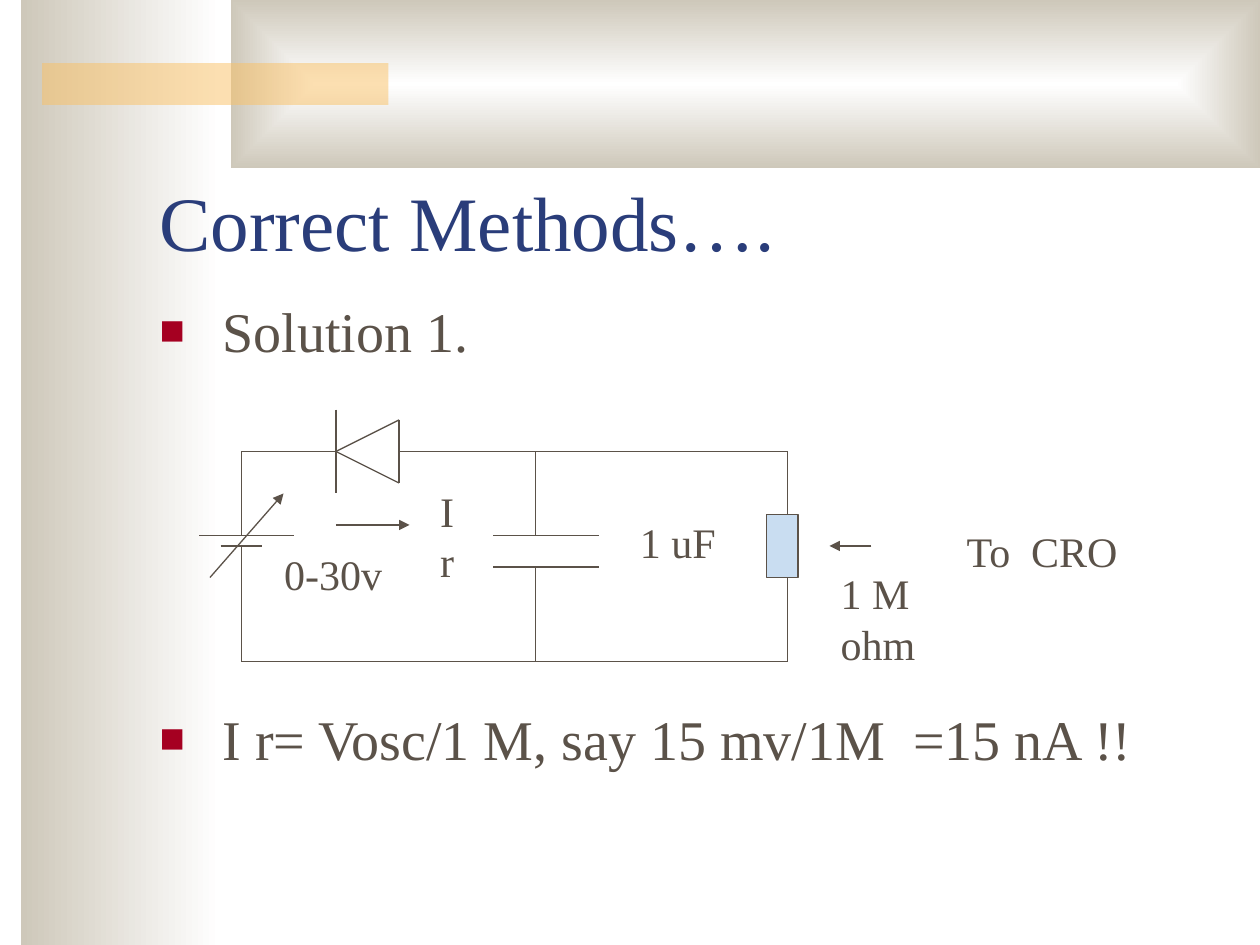
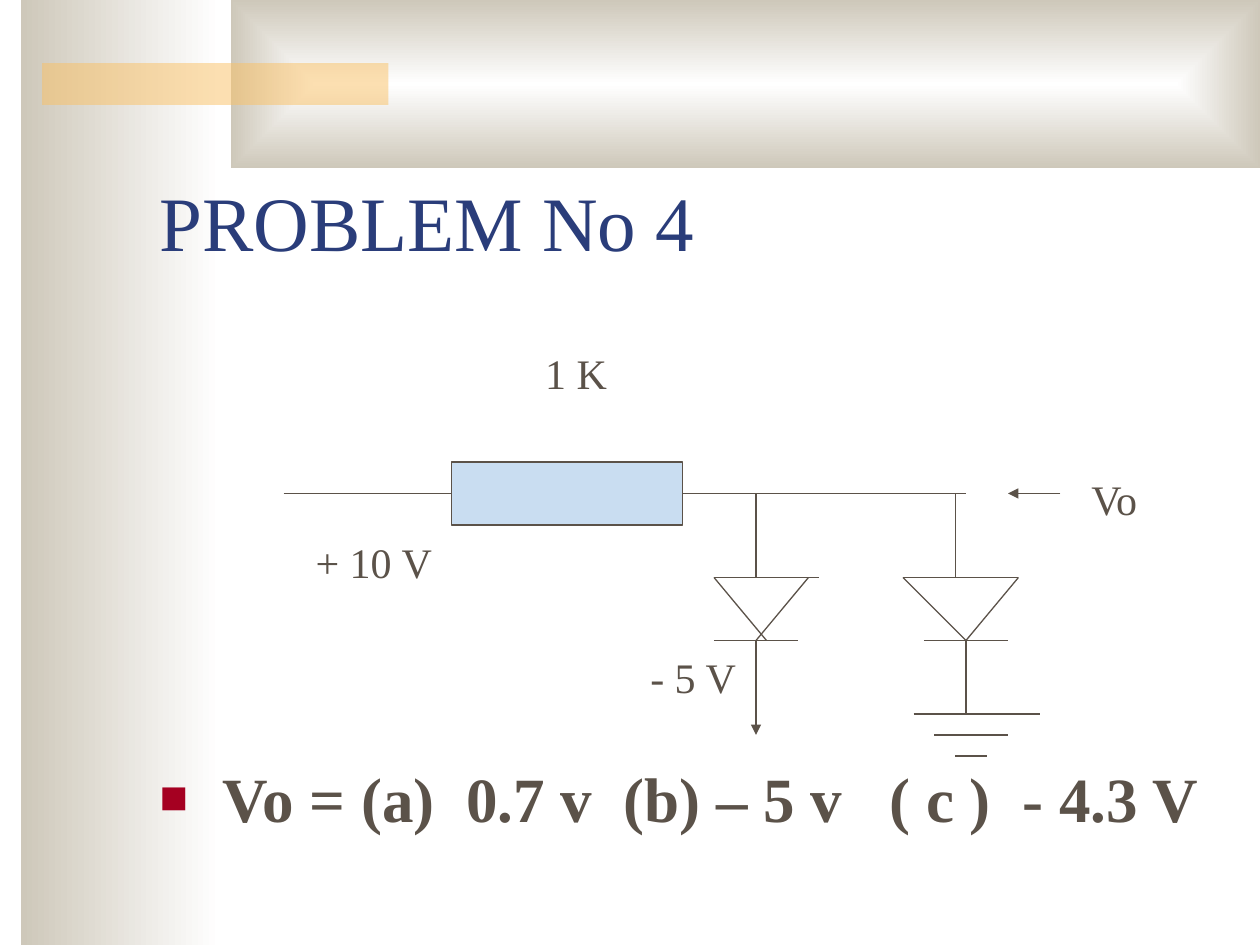
"""Build two slides of diode circuit problems."""
from lxml import etree
from pptx import Presentation
from pptx.dml.color import RGBColor
from pptx.enum.shapes import MSO_CONNECTOR, MSO_SHAPE
from pptx.enum.text import MSO_ANCHOR, MSO_AUTO_SIZE, PP_ALIGN
from pptx.oxml.ns import qn
from pptx.util import Pt

PX = 9525
RECTANGLE = MSO_SHAPE.RECTANGLE
STRAIGHT = MSO_CONNECTOR.STRAIGHT
LEFT = PP_ALIGN.LEFT
BOTTOM, TOP = MSO_ANCHOR.BOTTOM, MSO_ANCHOR.TOP
NO_AUTOFIT = MSO_AUTO_SIZE.NONE

NAVY = RGBColor(0x2A, 0x3D, 0x7A)
BROWN = RGBColor(0x5B, 0x52, 0x49)
CRIMSON = RGBColor(0xA5, 0x00, 0x21)
BEIGE = RGBColor(0xCE, 0xC8, 0xBA)
WHITE = RGBColor(0xFF, 0xFF, 0xFF)
AMBER = RGBColor(0xFA, 0xC1, 0x64)
PALE_BLUE = RGBColor(0xC9, 0xDD, 0xF1)

FACE = "Times New Roman"
TITLE_FONT = {"name": FACE, "size": Pt(44), "bold": False}
LABEL_FONT = {"name": FACE, "size": Pt(24)}
INDENT = 48
LABEL_HEIGHT = 48

SIDE_BAND = (16, 0, 152, 720)
TOP_BAND = (176, 0, 784, 128)
ACCENT_BAR = (32, 48, 264, 32)
TITLE_BOX = (112, 88, 816, 120)

SLIDES = [
    {
        "title": "Correct Methods….",
        "body_box": (112, 221, 816, 432),
        "body_font": {"name": FACE, "size": Pt(32)},
        "bullets": [
            ("Solution 1.", 0),
            ("I r= Vosc/1 M, say 15 mv/1M  =15 nA !!", 195),
        ],
        "resistor": (584, 392, 24, 48),
        "wires": {
            "supply": [(184, 344, 184, 408), (152, 408, 224, 408),
                       (168, 416, 200, 416), (184, 416, 184, 504)],
            "diode": [(184, 344, 256, 344), (256, 312, 256, 376),
                      (304, 320, 304, 368), (256, 344, 304, 320),
                      (256, 344, 304, 368)],
            "capacitor": [(408, 344, 408, 408), (376, 408, 456, 408),
                          (376, 432, 456, 432), (408, 432, 408, 504)],
            "rails": [(304, 344, 600, 344), (184, 504, 600, 504)],
            "load": [(600, 344, 600, 392), (600, 440, 600, 504)],
        },
        "arrows": [(256, 400, 312, 400), (160, 440, 216, 376),
                   (664, 416, 632, 416)],
        "labels": [("1 uF", 478, 389, 77), ("To  CRO", 727, 396, 136),
                   ("1 M ohm", 631, 428, 136), ("0-30v", 207, 413, 94),
                   ("Ir", 326, 365, 40)],
    },
    {
        "title": "PROBLEM No 4",
        "body_box": (112, 574, 816, 79),
        "body_font": {"name": FACE, "size": Pt(36), "bold": True},
        "bullets": [("Vo = (a)  0.7 v  (b) – 5 v   ( c )  - 4.3 V", 0)],
        "resistor": (344, 352, 176, 48),
        "wires": {
            "rail": [(216, 376, 344, 376), (520, 376, 736, 376)],
            "left diode": [(576, 376, 576, 440), (544, 440, 624, 440),
                           (544, 488, 608, 488), (576, 488, 616, 440),
                           (584, 488, 544, 440), (576, 488, 576, 536)],
            "right diode": [(728, 376, 728, 440), (688, 440, 776, 440),
                            (704, 488, 768, 488), (736, 488, 776, 440),
                            (736, 488, 688, 440), (736, 488, 736, 544)],
            "ground": [(696, 544, 792, 544), (712, 560, 768, 560),
                       (728, 576, 752, 576)],
        },
        "arrows": [(576, 536, 576, 560), (808, 376, 768, 376)],
        "labels": [("- 5 V", 486, 492, 85), ("1 K", 406, 260, 66),
                   ("+ 10 V", 231, 404, 108), ("Vo", 822, 356, 58)],
    },
]


def emu(lengths):
    return [length * PX for length in lengths]


def apply(target, values):
    for name, value in values.items():
        setattr(target, name, value)


def place(shape, box):
    apply(shape, dict(zip(("left", "top", "width", "height"), emu(box))))


def sub(parent, tag, **attributes):
    return etree.SubElement(parent, qn(tag), attributes)


def write(paragraph, text, font, color):
    paragraph.alignment = LEFT
    run = paragraph.add_run()
    run.text = text
    apply(run.font, font)
    run.font.color.rgb = color


def add_box(slide, box):
    shape = slide.shapes.add_shape(RECTANGLE, *emu(box))
    shape.shadow.inherit = False
    return shape


def add_band(slide, box):
    band = add_box(slide, box)
    band.line.fill.background()
    return band


def shade(band):
    band.fill.gradient()
    band.fill.gradient_angle = 180
    for stop, color in zip(band.fill.gradient_stops, (WHITE, BEIGE)):
        stop.color.rgb = color


def decorate(layout, slide):
    """Put the bands and the placeholder frames on the shared layout."""
    title, body, *footers = layout.placeholders
    for footer in footers:
        layout.shapes.element.remove(footer.element)
    for frame, box, anchor in ((title, TITLE_BOX, BOTTOM),
                               (body, SLIDES[0]["body_box"], TOP)):
        place(frame, box)
        apply(frame.text_frame, {"vertical_anchor": anchor,
                                 "auto_size": NO_AUTOFIT})

    side, top, accent = (add_band(slide, box)
                         for box in (SIDE_BAND, TOP_BAND, ACCENT_BAR))
    shade(side)
    shade(top)
    gradient = top.element.spPr.find(qn("a:gradFill"))
    gradient.remove(gradient.find(qn("a:lin")))
    center = sub(gradient, "a:path", path="rect")
    sub(center, "a:fillToRect", l="50000", t="50000", r="50000", b="50000")
    accent.fill.solid()
    accent.fill.fore_color.rgb = AMBER
    sub(accent.element.spPr.find(".//" + qn("a:srgbClr")), "a:alpha", val="50000")
    for depth, band in enumerate((side, top, accent), start=2):
        layout.shapes.element.insert(depth, band.element)


def fill_bullets(body, bullets, font):
    frame = body.text_frame
    for number, (text, gap) in enumerate(bullets):
        paragraph = frame.add_paragraph() if number else frame.paragraphs[0]
        properties = paragraph._p.get_or_add_pPr()
        properties.set("marL", str(INDENT * PX))
        properties.set("indent", str(-INDENT * PX))
        sub(sub(properties, "a:buClr"), "a:srgbClr", val=str(CRIMSON))
        sub(properties, "a:buSzPct", val="75000")
        sub(properties, "a:buFont", typeface=FACE)
        sub(properties, "a:buChar", char="■")
        paragraph.space_before = Pt(gap)
        write(paragraph, text, font, BROWN)


def add_resistor(slide, box):
    resistor = add_box(slide, box)
    resistor.fill.solid()
    resistor.fill.fore_color.rgb = PALE_BLUE
    resistor.line.color.rgb = BROWN
    resistor.line.width = Pt(0.75)
    return resistor


def add_wire(slide, ends, resistor, sides):
    wire = slide.shapes.add_connector(STRAIGHT, *emu(ends))
    wire.line.color.rgb = BROWN
    wire.line.width = Pt(0.75)
    sub(wire.element.spPr, "a:effectLst")
    for point, connect in ((ends[:2], wire.begin_connect),
                           (ends[2:], wire.end_connect)):
        if point in sides:
            connect(resistor, sides.index(point))
    return wire


def add_circuit(slide, content):
    left, top, width, height = content["resistor"]
    middle, center = left + width // 2, top + height // 2
    sides = [(middle, top), (left, center),
             (middle, top + height), (left + width, center)]
    resistor = add_resistor(slide, content["resistor"])
    for part in content["wires"].values():
        for ends in part:
            add_wire(slide, ends, resistor, sides)
    for ends in content["arrows"]:
        arrow = add_wire(slide, ends, resistor, sides)
        sub(arrow.line._get_or_add_ln(), "a:tailEnd", type="triangle")
    for text, x, y, label_width in content["labels"]:
        label = slide.shapes.add_textbox(*emu((x, y, label_width, LABEL_HEIGHT)))
        label.text_frame.word_wrap = False
        write(label.text_frame.paragraphs[0], text, LABEL_FONT, BROWN)


def main():
    deck = Presentation()
    deck.slide_width, deck.slide_height = emu((960, 720))
    layout = deck.slide_layouts[1]
    for number, content in enumerate(SLIDES):
        slide = deck.slides.add_slide(layout)
        if number == 0:
            decorate(layout, slide)
        title, body = slide.placeholders
        write(title.text_frame.paragraphs[0], content["title"], TITLE_FONT, NAVY)
        place(body, content["body_box"])
        fill_bullets(body, content["bullets"], content["body_font"])
        add_circuit(slide, content)
    deck.save("out.pptx")


if __name__ == "__main__":
    main()
